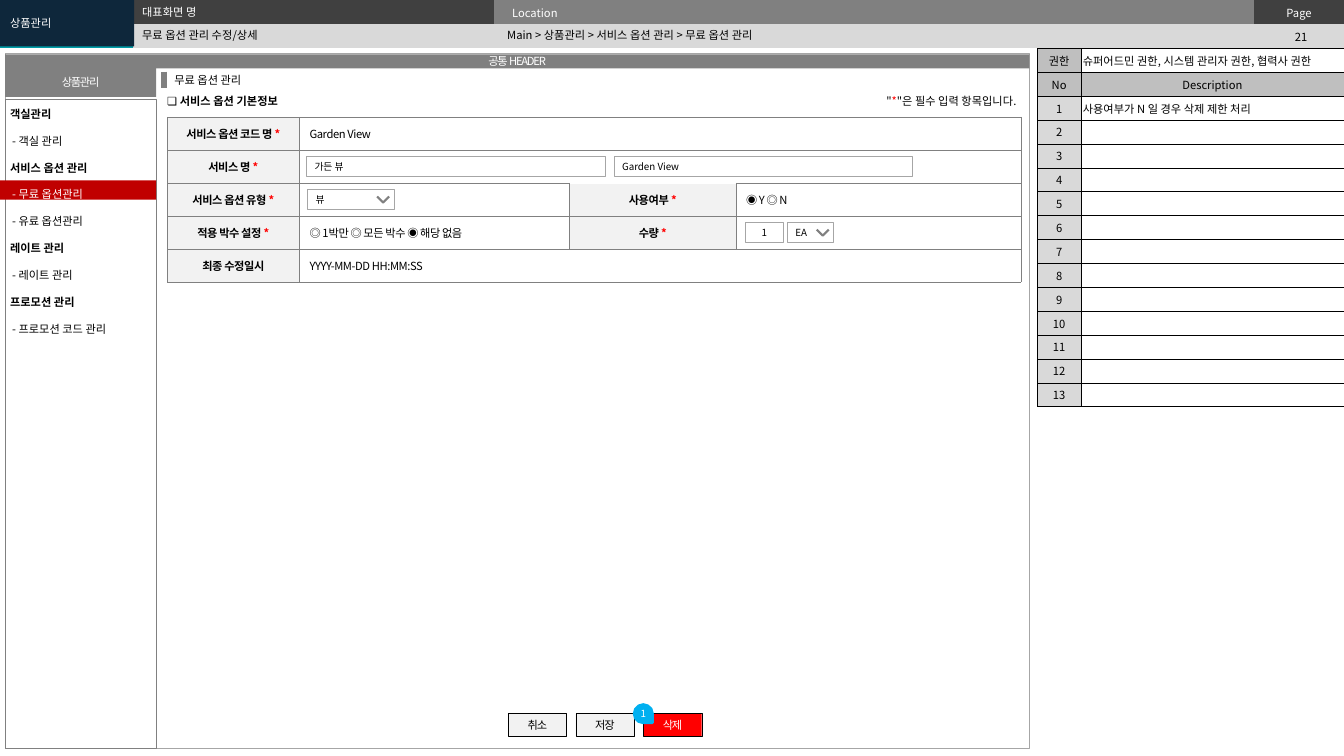
"""Builds the free option management screen specification slide."""
import lxml.etree
import pptx
import pptx.dml.color
import pptx.enum.shapes
import pptx.enum.text
import pptx.oxml.ns
import pptx.util

FONT = "Noto Sans CJK KR"
ALIGN = pptx.enum.text.PP_ALIGN
MIDDLE = pptx.enum.text.MSO_ANCHOR.MIDDLE
SHAPE = pptx.enum.shapes.MSO_SHAPE
WIDTH, HEIGHT = 13.33, 7.5
PLAIN_TABLE = "{2D5ABB26-0587-4C30-8999-92F81FD0307C}"

HEADER_COLUMNS = [1.32, 3.58, 7.54, 0.89]
HEADER_ROW = 0.24
HEADER_ROWS = [["", "", "Location", "Page"], [""] * 4]
HEADER_FILLS = [["009CA6", "404040", "808080", "404040"], ["009CA6"] + ["D9D9D9"] * 3]

PLACEHOLDERS = {
    0: ("무료 옵션 관리 수정/상세", (1.31, 0.24, 3.63, 0.22), "000000"),
    1: ("대표화면 명", (1.31, 0, 3.62, 0.23), "FFFFFF"),
    2: ("Main > 상품관리 > 서비스 옵션 관리 > 무료 옵션 관리", (4.93, 0.23, 7.38, 0.24), "000000"),
    3: ("상품관리", (0, 0, 1.33, 0.46), "FFFFFF"),
}
MENU_INDEX, MENU_BOX, MENU_PITCH = 4, (0, 0.88, 1.58, 2.5), 19.2
MENU = ["객실관리", "- 객실 관리", "서비스 옵션 관리", "- 무료 옵션관리", "- 유료 옵션관리",
        "레이트 관리", "- 레이트 관리", "프로모션 관리", "- 프로모션 코드 관리"]
MENU_SELECTED = 3

DESCRIPTION_COLUMNS = [0.43, 2.61]
DESCRIPTION_HEIGHT = 3.56
DESCRIPTION_ROWS = [
    ["권한", "슈퍼어드민 권한, 시스템 관리자 권한, 협력사 권한"],
    ["No", "Description"],
    ["1", "사용여부가 N 일 경우 삭제 제한 처리"],
] + [[str(number), ""] for number in range(2, 14)]

FORM_LEFT, FORM_TOP, FORM_ROW = 1.66, 1.16, 0.328
FORM_COLUMNS = [1.31, 2.68, 1.65, 2.83]
FORM_ROWS = [
    ["서비스 옵션 코드 명 *", "Garden View"],
    ["서비스 명 *", ""],
    ["서비스 옵션 유형 *", "", "사용여부 *", "◉ Y ◎ N"],
    ["적용 박수 설정 *", "◎ 1박만 ◎ 모든 박수 ◉ 해당 없음", "수량 *", ""],
    ["최종 수정일시", "YYYY-MM-DD HH:MM:SS"],
]
INPUTS = [
    ("가든 뷰", 3.04, 1, 2.96, False),
    ("Garden View", 6.09, 1, 2.96, False),
    ("뷰", 3.05, 2, 0.86, True),
    ("1", 7.39, 3, 0.38, False),
    ("EA", 7.81, 3, 0.46, True),
]
BUTTONS = [("취소", "F2F2F2", "000000"), ("저장", "F2F2F2", "000000"), ("삭제", "FF0000", "FFFFFF")]
BUTTON_LEFT, BUTTON_PITCH = 5.04, 0.67


def inches(values):
    return [pptx.util.Inches(value) for value in values]


def rgb(value):
    return pptx.dml.color.RGBColor.from_string(value)


def add_child(parent, tag, **attributes):
    return lxml.etree.SubElement(parent, pptx.oxml.ns.qn(tag), attributes)


def pad(holder, across, down):
    holder.margin_left = holder.margin_right = pptx.util.Inches(across)
    holder.margin_top = holder.margin_bottom = pptx.util.Inches(down)
    holder.vertical_anchor = MIDDLE


def write(paragraph, text, color="000000", size=8, bold=False, align=ALIGN.LEFT, tracking=0):
    paragraph.alignment = align
    if not text:
        add_child(paragraph._p, "a:endParaRPr", sz=str(size * 100))
    for part in text.partition("*"):
        if part:
            run = paragraph.add_run()
            run.text = part
            run.font.size = pptx.util.Pt(size)
            run.font.bold = bold
            run.font.name = FONT
            run.font.color.rgb = rgb("FF0000" if part == "*" else color)
            properties = run.font._element
            properties.set("spc", str(round(tracking * 100)))
            add_child(properties, "a:ea", typeface=FONT)


def add_box(slide, box, fill=None, line=None, weight=0.25, text="", kind=SHAPE.RECTANGLE,
            inset=0.04, **style):
    shape = slide.shapes.add_shape(kind, *inches(box))
    shape.shadow.inherit = False
    for paint, color in ((shape.fill, fill), (shape.line.fill, line)):
        if color:
            paint.solid()
            paint.fore_color.rgb = rgb(color)
        else:
            paint.background()
    if line:
        shape.line.width = pptx.util.Pt(weight)
    if text:
        pad(shape.text_frame, inset, 0)
        write(shape.text_frame.paragraphs[0], text, **style)
    return shape


def add_label(slide, box, text, **style):
    frame = slide.shapes.add_textbox(*inches(box)).text_frame
    frame.word_wrap = True
    pad(frame, 0.1, 0)
    write(frame.paragraphs[0], text, **style)


def add_grid(slide, left, top, columns, row_height, count):
    frame = slide.shapes.add_table(count, len(columns),
                                   *inches((left, top, sum(columns), row_height * count)))
    table = frame.table
    table.first_row = table.horz_banding = False
    table._tbl.tblPr.find(pptx.oxml.ns.qn("a:tableStyleId")).text = PLAIN_TABLE
    for column, width in zip(table.columns, columns):
        column.width = pptx.util.Inches(width)
    for row in table.rows:
        row.height = pptx.util.Inches(row_height)
    return table


def fill_cell(cell, text, fill=None, border=None, weight=0.25, top=None, inset=0.1, **style):
    pad(cell, inset, 0.02)
    write(cell.text_frame.paragraphs[0], text, **style)
    if border:
        for side in "LRTB":
            color, points = top if top and side == "T" else (border, weight)
            line = add_child(cell._tc.get_or_add_tcPr(), "a:ln" + side, w=str(int(points * 12700)))
            add_child(add_child(line, "a:solidFill"), "a:srgbClr", val=color)
    if fill:
        cell.fill.solid()
        cell.fill.fore_color.rgb = rgb(fill)


def add_header(slide):
    table = add_grid(slide, 0, 0, HEADER_COLUMNS, HEADER_ROW, 2)
    table.cell(0, 0).merge(table.cell(1, 0))
    for row, (texts, fills) in enumerate(zip(HEADER_ROWS, HEADER_FILLS)):
        for column, (text, fill) in enumerate(zip(texts, fills)):
            fill_cell(table.cell(row, column), text, fill, inset=0.18, color="FFFFFF",
                      align=ALIGN.CENTER if column == 3 else ALIGN.LEFT)
    add_label(slide, (12.48, 0.25, 0.85, 0.24), "21", align=ALIGN.CENTER)


def add_description(slide):
    count = len(DESCRIPTION_ROWS)
    table = add_grid(slide, WIDTH - sum(DESCRIPTION_COLUMNS), 0.48, DESCRIPTION_COLUMNS,
                     DESCRIPTION_HEIGHT / count, count)
    for row, texts in enumerate(DESCRIPTION_ROWS):
        for column, text in enumerate(texts):
            heading = row == 1 or column == 0
            fill = ("BFBFBF" if row < 2 else "D9D9D9") if heading else None
            fill_cell(table.cell(row, column), text, fill, "000000", 0.5, inset=0.02,
                      align=ALIGN.CENTER if heading else ALIGN.LEFT)


def add_form(slide):
    table = add_grid(slide, FORM_LEFT, FORM_TOP, FORM_COLUMNS, FORM_ROW, len(FORM_ROWS))
    for row, texts in enumerate(FORM_ROWS):
        if len(texts) == 2:
            table.cell(row, 1).merge(table.cell(row, 3))
        for column, text in enumerate(texts + [""] * (4 - len(texts))):
            label = column % 2 == 0 and bool(text)
            fill_cell(table.cell(row, column), text, "F2F2F2" if label else "FFFFFF", "808080",
                      top=("FFFFFF", 1) if (row, column) == (2, 2) else None, bold=label,
                      align=ALIGN.CENTER if label else ALIGN.LEFT, tracking=-0.3)
    for text, left, row, width, dropdown in INPUTS:
        middle = FORM_TOP + FORM_ROW * (row + 0.5)
        add_box(slide, (left, middle - 0.1, width, 0.2), "FFFFFF", "A6A6A6", 0.5, text, inset=0.08,
                size=7, align=ALIGN.CENTER if text == "1" else ALIGN.LEFT)
        if dropdown:
            add_chevron(slide, left + width - 0.11, middle)


def add_chevron(slide, center, middle):
    points = [inches((center + across, middle + down))
              for across, down in ((-0.06, -0.03), (0, 0.03), (0.06, -0.03))]
    builder = slide.shapes.build_freeform(*points[0])
    builder.add_line_segments(points[1:], close=False)
    chevron = builder.convert_to_shape()
    chevron.shadow.inherit = False
    chevron.fill.background()
    chevron.line.color.rgb = rgb("808080")
    chevron.line.width = pptx.util.Pt(1.5)


def add_buttons(slide):
    for index, (text, fill, color) in enumerate(BUTTONS):
        add_box(slide, (BUTTON_LEFT + index * BUTTON_PITCH, 7.08, 0.58, 0.22), fill, "000000",
                text=text, color=color, align=ALIGN.CENTER, tracking=-0.9)
    marker = add_box(slide, (6.29, 6.99, 0.18, 0.18), "00B0F0", "00B0F0", 2, "1", SHAPE.TEAR, 0,
                     size=7, color="FFFFFF", align=ALIGN.CENTER)
    marker.rotation = 90
    marker.text_frame._txBody.bodyPr.set("vert", "vert270")


def place(slide, index, box, lines, color="000000"):
    holder = next(item for item in slide.placeholders if item.placeholder_format.idx == index)
    holder.element.getparent().append(holder.element)
    holder.left, holder.top, holder.width, holder.height = inches(box)
    frame = holder.text_frame
    frame.auto_size = pptx.enum.text.MSO_AUTO_SIZE.NONE
    pad(frame, 0.1, 0)
    for number, line in enumerate(lines):
        paragraph = frame.add_paragraph() if number else frame.paragraphs[0]
        properties = paragraph._p.get_or_add_pPr()
        properties.set("marL", "0")
        properties.set("indent", "0")
        add_child(properties, "a:buNone")
        paragraph.space_before = pptx.util.Pt(0)
        write(paragraph, line, color)
    return holder


def add_menu(slide):
    frame = place(slide, MENU_INDEX, MENU_BOX, MENU).text_frame
    frame.vertical_anchor = pptx.enum.text.MSO_ANCHOR.TOP
    frame.margin_top = pptx.util.Inches(0.05)
    for number, paragraph in enumerate(frame.paragraphs):
        paragraph.line_spacing = pptx.util.Pt(MENU_PITCH)
        font = paragraph.runs[0].font
        font.bold = not MENU[number].startswith("-")
        if not font.bold:
            paragraph._p.pPr.set("marL", str(pptx.util.Inches(0.02)))
        if number == MENU_SELECTED:
            font.color.rgb = rgb("FFFFFF")


def main():
    presentation = pptx.Presentation()
    presentation.slide_width, presentation.slide_height = inches((WIDTH, HEIGHT))
    slide = presentation.slides.add_slide(presentation.slide_layouts[4])
    add_header(slide)
    add_box(slide, (0.05, 0.53, 10.16, 6.89), line="A6A6A6")
    add_box(slide, (0.05, 0.98, 1.5, 6.44), line="808080")
    for text, box in (("공통 HEADER", (0.05, 0.54, 10.16, 0.14)), ("상품관리", (0.05, 0.67, 1.5, 0.29))):
        add_box(slide, box, "808080", text=text, color="FFFFFF", align=ALIGN.CENTER, tracking=-0.9)
    add_description(slide)
    add_label(slide, (1.63, 0.67, 2.41, 0.24), "무료 옵션 관리")
    bar = slide.shapes.add_connector(pptx.enum.shapes.MSO_CONNECTOR.STRAIGHT,
                                     *inches((1.63, 0.71, 1.63, 0.87)))
    bar.line.color.rgb = rgb("808080")
    bar.line.width = pptx.util.Pt(4.5)
    add_child(bar._element.spPr, "a:effectLst")
    add_label(slide, (1.56, 0.88, 1.8, 0.24), "❏ 서비스 옵션 기본정보", bold=True)
    add_label(slide, (7.18, 0.88, 3, 0.24), '"*"은 필수 입력 항목입니다.', align=ALIGN.RIGHT)
    add_form(slide)
    add_buttons(slide)
    add_box(slide, (0, 1.79, 1.55, 0.19), "C00000")
    for index, (text, box, color) in PLACEHOLDERS.items():
        holder = place(slide, index, box, [text], color)
    holder.fill.solid()
    holder.fill.fore_color.rgb = rgb("0E273B")
    add_menu(slide)
    presentation.save("out.pptx")


if __name__ == "__main__":
    main()
